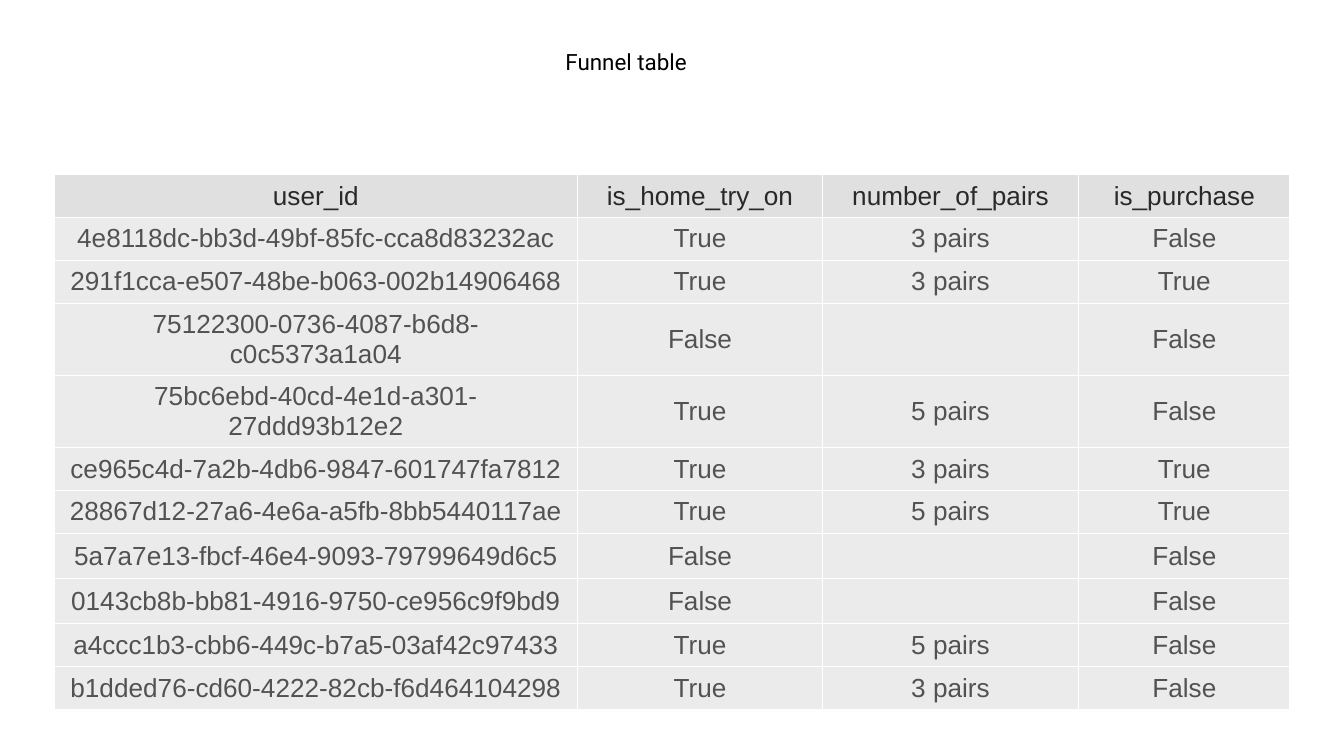
from lxml import etree
from pptx import Presentation
from pptx.dml.color import RGBColor
from pptx.enum import text
from pptx.oxml import ns
from pptx.util import Cm, Pt

TITLE = "Funnel table"
HEADERS = ("user_id", "is_home_try_on", "number_of_pairs", "is_purchase")
USERS = [
    ("4e8118dc-bb3d-49bf-85fc-cca8d83232ac", "True", "3 pairs", "False"),
    ("291f1cca-e507-48be-b063-002b14906468", "True", "3 pairs", "True"),
    ("75122300-0736-4087-b6d8-c0c5373a1a04", "False", "", "False"),
    ("75bc6ebd-40cd-4e1d-a301-27ddd93b12e2", "True", "5 pairs", "False"),
    ("ce965c4d-7a2b-4db6-9847-601747fa7812", "True", "3 pairs", "True"),
    ("28867d12-27a6-4e6a-a5fb-8bb5440117ae", "True", "5 pairs", "True"),
    ("5a7a7e13-fbcf-46e4-9093-79799649d6c5", "False", "", "False"),
    ("0143cb8b-bb81-4916-9750-ce956c9f9bd9", "False", "", "False"),
    ("a4ccc1b3-cbb6-449c-b7a5-03af42c97433", "True", "5 pairs", "False"),
    ("b1dded76-cd60-4222-82cb-f6d464104298", "True", "3 pairs", "False"),
]
COLORS = {
    "title": "000000",
    "header_text": "292929",
    "header_fill": "E0E0E0",
    "body_text": "525252",
    "body_fill": "EBEBEB",
    "border": "FFFFFF",
}
COLUMN_WIDTHS = (9.9, 4.62, 4.85, 3.99)
ROW_HEIGHT, WRAPPED_HEIGHT = 0.81, 1.36
WRAPPED_ROWS = (3, 4)
TITLE_PLACE = {"left": 0, "top": 0, "width": 23.67, "height": 2.34}
TITLE_FONT = {"name": "Roboto", "size": Pt(12), "bold": False}
CELL_FONT = {"name": "Arial", "size": Pt(14), "bold": False}


def apply(target, values):
    for name, value in values.items():
        setattr(target, name, value)


def write(paragraph, words, font, color):
    paragraph.alignment = text.PP_ALIGN.CENTER
    if words:
        span = paragraph.add_run()
        span.text = words
        apply(span.font, font)
        span.font.color.rgb = RGBColor.from_string(COLORS[color])
    else:
        ending = etree.SubElement(paragraph._p, ns.qn("a:endParaRPr"))
        ending.set("sz", str(int(font["size"].pt * 100)))


def add_borders(cell):
    properties = cell._tc.get_or_add_tcPr()
    for side in ("lnL", "lnR", "lnT", "lnB"):
        line = etree.SubElement(properties, ns.qn(f"a:{side}"), w=str(Pt(0.75)))
        fill = etree.SubElement(line, ns.qn("a:solidFill"))
        etree.SubElement(fill, ns.qn("a:srgbClr"), val=COLORS["border"])


def add_title(page):
    box = page.shapes.title
    apply(box, {name: Cm(value) for name, value in TITLE_PLACE.items()})
    frame = box.text_frame
    sides = ("left", "right", "top", "bottom")
    apply(frame, {f"margin_{side}": Cm(0.25) for side in sides})
    frame.vertical_anchor = text.MSO_ANCHOR.MIDDLE
    write(frame.paragraphs[0], TITLE, TITLE_FONT, "title")


def add_funnel(page):
    rows = [HEADERS, *USERS]
    heights = [WRAPPED_HEIGHT if index in WRAPPED_ROWS else ROW_HEIGHT
               for index in range(len(rows))]
    table = page.shapes.add_table(
        len(rows), len(HEADERS), Cm(1.02), Cm(3.3),
        Cm(sum(COLUMN_WIDTHS)), Cm(sum(heights))).table
    table.horz_banding = False
    for column, width in zip(table.columns, COLUMN_WIDTHS):
        column.width = Cm(width)
    for index, (row, height, values) in enumerate(zip(table.rows, heights, rows)):
        row.height = Cm(height)
        part = "body" if index else "header"
        for cell, value in zip(row.cells, values):
            add_borders(cell)
            cell.fill.solid()
            cell.fill.fore_color.rgb = RGBColor.from_string(COLORS[f"{part}_fill"])
            cell.vertical_anchor = text.MSO_ANCHOR.MIDDLE
            write(cell.text_frame.paragraphs[0], value, CELL_FONT, f"{part}_text")


def main():
    deck = Presentation()
    apply(deck, {"slide_width": Cm(25.4), "slide_height": Cm(14.29)})
    page = deck.slides.add_slide(deck.slide_layouts[5])
    add_title(page)
    add_funnel(page)
    deck.save("out.pptx")


if __name__ == "__main__":
    main()
